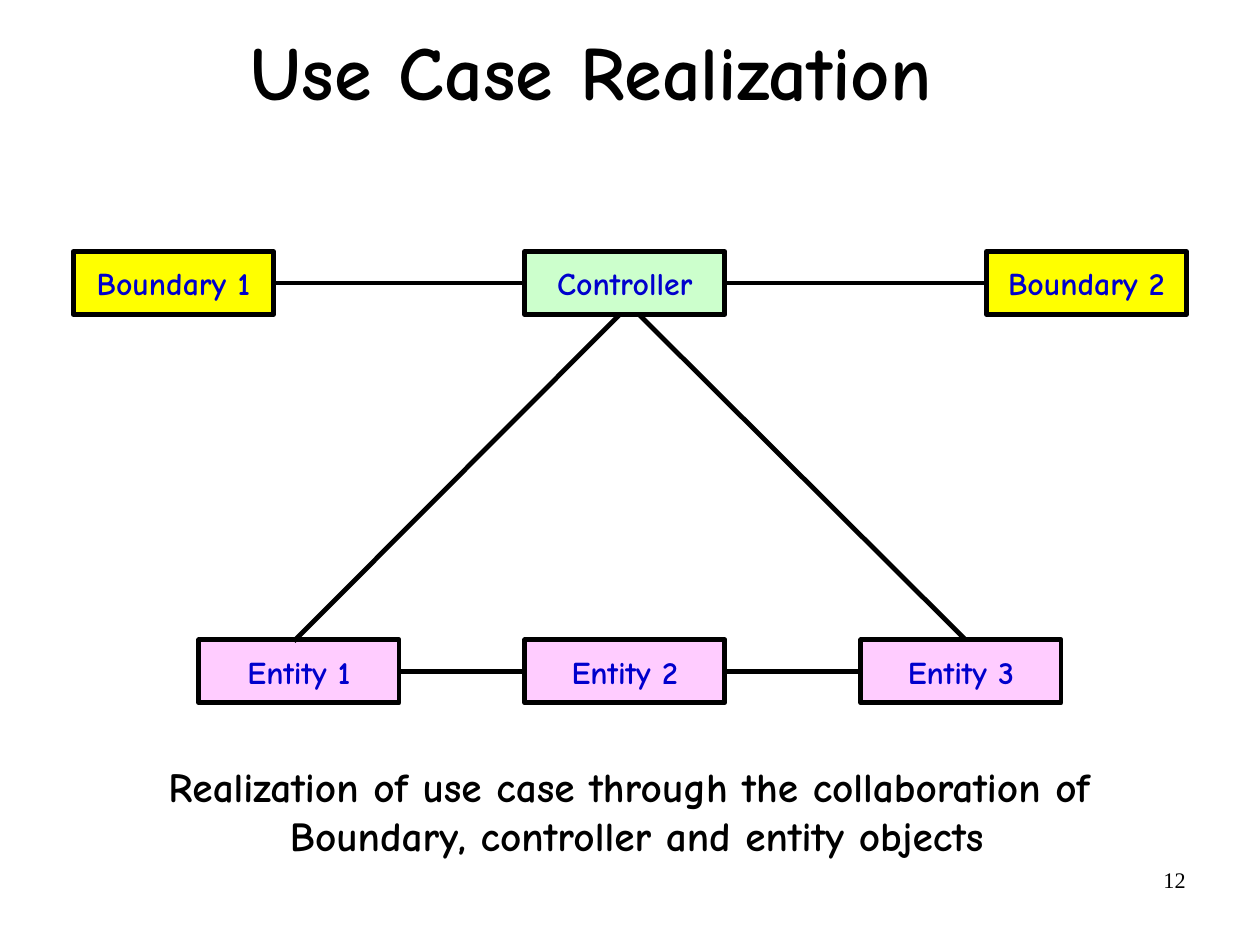
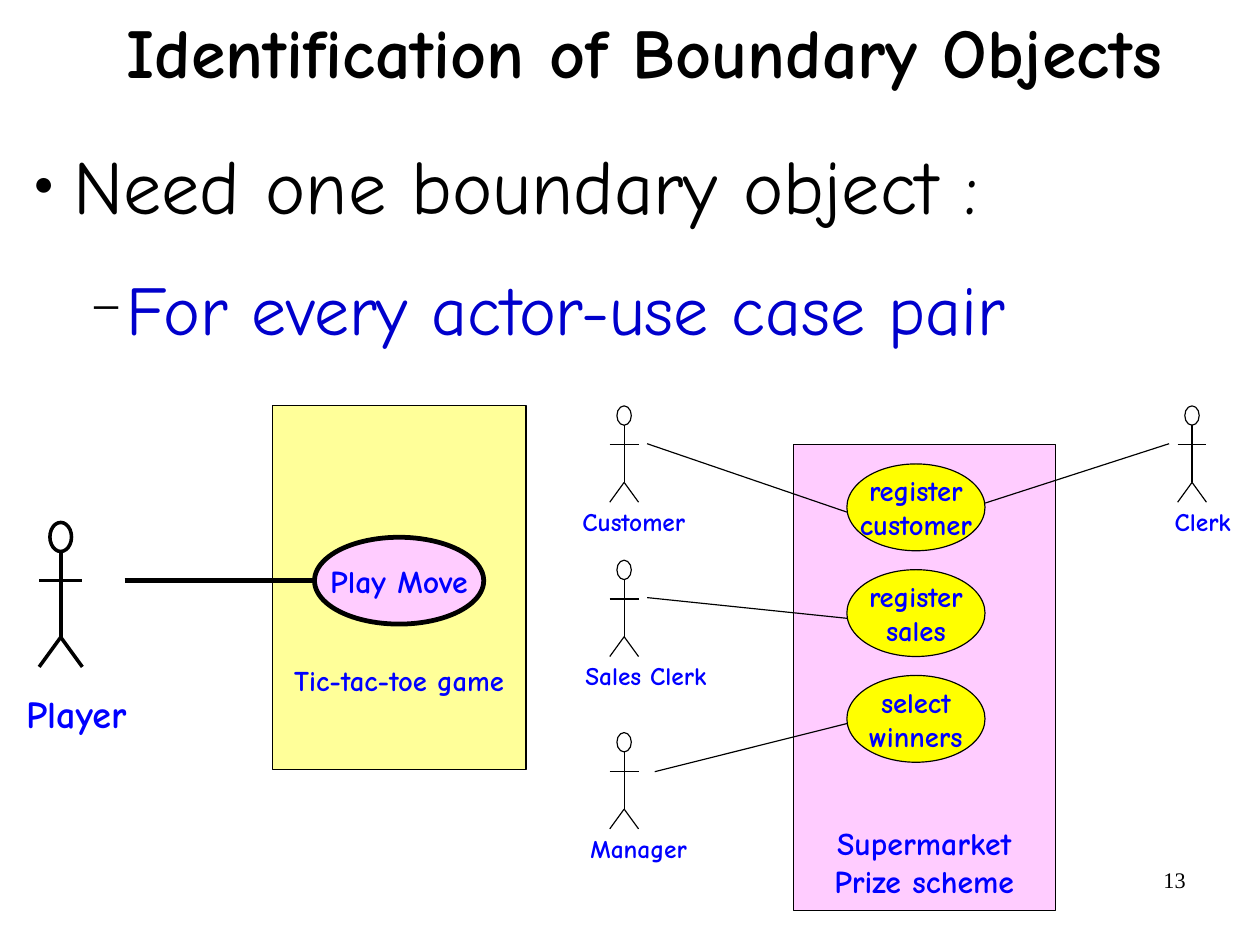
from dataclasses import dataclass

from lxml.etree import SubElement
from pptx import Presentation
from pptx.dml.color import RGBColor as Rgb
from pptx.enum.shapes import MSO_CONNECTOR as Link, MSO_SHAPE as Preset
from pptx.enum.text import MSO_ANCHOR as Anchor, MSO_AUTO_SIZE as Fit, PP_ALIGN as Align
from pptx.oxml.ns import qn
from pptx.util import Cm, Pt


@dataclass(frozen=True)
class Theme:
    font: str = "Comic Neue"
    number_font: str = "Times New Roman"
    black: str = "000000"
    navy: str = "0000CC"
    blue: str = "0000FF"
    yellow: str = "FFFF00"
    cream: str = "FFFF99"
    pink: str = "FFCCFF"
    mint: str = "CCFFCC"
    title_large: int = 48
    title: int = 44
    bullet: int = 48
    sub_bullet: int = 44
    caption: int = 26
    player: int = 24
    label: int = 20
    small_label: int = 18
    actor: int = 16
    number: int = 14
    thin: float = 0.75
    medium: float = 2.25
    thick: float = 3


theme = Theme()


def write(frame, lines, size, color=theme.black, bold=True, font=theme.font,
          align=Align.CENTER, anchor=Anchor.MIDDLE, wrap=False,
          side=0.28, top=0.15, bottom=0.15, spacing=1.0, before=0):
    frame.word_wrap = wrap
    frame.auto_size = Fit.NONE
    frame.vertical_anchor = anchor
    frame.margin_left = frame.margin_right = Cm(side)
    frame.margin_top, frame.margin_bottom = Cm(top), Cm(bottom)
    for index, line in enumerate(lines):
        para = frame.add_paragraph() if index else frame.paragraphs[0]
        para.alignment = align
        para.line_spacing = spacing
        para.space_before = Pt(before)
        span = para.add_run()
        span.text = line
        span.font.name = font
        span.font.size = Pt(size)
        span.font.bold = bold
        span.font.color.rgb = Rgb.from_string(color)


def draw_line(page, start, end, width):
    line = page.shapes.add_connector(Link.STRAIGHT, *map(Cm, start + end))
    line.line.color.rgb = Rgb.from_string(theme.black)
    line.line.width = Pt(width)
    SubElement(line._element.spPr, qn("a:effectLst"))
    return line


deck = Presentation()
deck.slide_width, deck.slide_height = Cm(28), Cm(21)
realization = deck.slides.add_slide(deck.slide_layouts[5])
identification = deck.slides.add_slide(deck.slide_layouts[1])

titles = [
    (realization, "Use Case Realization", (1.24, -0.08, 23.8, 3.48),
     dict(size=theme.title_large, side=0.05, spacing=0.94, before=13.6)),
    (identification, "Identification of Boundary Objects", (0.66, -0.3, 27.33, 3.1),
     dict(size=theme.title, side=0, top=0, bottom=0, spacing=0.88)),
]
for number, (page, text, place, style) in enumerate(titles, 12):
    title = page.shapes.title
    title.left, title.top, title.width, title.height = map(Cm, place)
    write(title.text_frame, [text], wrap=True, **style)
    box = page.shapes.add_textbox(Cm(20.07), Cm(19.13), Cm(6.53), Cm(1.45))
    write(box.text_frame, [str(number)], theme.number, bold=False, font=theme.number_font,
          align=Align.RIGHT, anchor=Anchor.TOP, wrap=True, side=0.25, top=0.13)

boxes = {}
for name, left, top, fill in [
    ("Boundary 1", 1.63, 5.59, theme.yellow),
    ("Controller", 11.66, 5.59, theme.mint),
    ("Boundary 2", 21.92, 5.59, theme.yellow),
    ("Entity 1", 4.42, 14.22, theme.pink),
    ("Entity 2", 11.66, 14.22, theme.pink),
    ("Entity 3", 19.13, 14.22, theme.pink),
]:
    box = realization.shapes.add_shape(Preset.RECTANGLE, Cm(left), Cm(top), Cm(4.45), Cm(1.4))
    box.shadow.inherit = False
    box.fill.solid()
    box.fill.fore_color.rgb = Rgb.from_string(fill)
    box.line.color.rgb = Rgb.from_string(theme.black)
    box.line.width = Pt(theme.thick)
    write(box.text_frame, [name], theme.label, theme.navy)
    boxes[name] = box

for first, second in [("Boundary 1", "Controller"), ("Controller", "Boundary 2"),
                      ("Entity 1", "Entity 2"), ("Entity 2", "Entity 3")]:
    line = draw_line(realization, (0, 0), (1, 1), theme.thick)
    line.begin_connect(boxes[first], 3)
    line.end_connect(boxes[second], 1)

draw_line(realization, (6.53, 14.25), (13.77, 6.99), theme.thick)
draw_line(realization, (14.22, 7.01), (21.46, 14.22), theme.thick)

caption = realization.shapes.add_textbox(Cm(3.43), Cm(16.76), Cm(21.46), Cm(2.49))
write(caption.text_frame, ["Realization of use case through the collaboration of ",
                           "Boundary, controller and entity objects"],
      theme.caption, anchor=Anchor.TOP)

body = identification.placeholders[1]
body.left, body.top, body.width, body.height = map(Cm, (0.46, 2.67, 26.87, 15.88))
write(body.text_frame, ["Need one boundary object :", "For every actor-use case pair"],
      theme.bullet, bold=False, align=Align.LEFT, anchor=Anchor.TOP, wrap=True,
      side=0, top=0, bottom=0, spacing=1.2, before=6)
bullets = [("●", 45, 1.17, -0.89, theme.bullet, theme.black),
           ("−", 75, 2.36, -0.79, theme.sub_bullet, theme.navy)]
for level, (para, bullet) in enumerate(zip(body.text_frame.paragraphs, bullets)):
    symbol, percent, margin, indent, size, color = bullet
    para.level = level
    para.space_after = Pt(6)
    para.runs[0].font.size = Pt(size)
    para.runs[0].font.color.rgb = Rgb.from_string(color)
    properties = para._p.get_or_add_pPr()
    properties.set("marL", str(Cm(margin)))
    properties.set("indent", str(Cm(indent)))
    bullet_color = SubElement(properties, qn("a:buClr"))
    SubElement(bullet_color, qn("a:srgbClr"), val=theme.black)
    SubElement(properties, qn("a:buSzPct"), val=str(percent * 1000))
    SubElement(properties, qn("a:buFont"), typeface=theme.number_font)
    SubElement(properties, qn("a:buChar"), char=symbol)

low = dict(color=theme.blue, anchor=Anchor.BOTTOM)
middle = dict(color=theme.blue)
use_cases = [
    (Preset.RECTANGLE, (6.05, 9.02, 5.64, 8.08), theme.cream, theme.thin,
     ["Tic-tac-toe game"], dict(size=theme.small_label, bottom=1.6, **low)),
    (Preset.OVAL, (6.99, 11.94, 3.76, 1.93), theme.pink, theme.thick,
     ["Play Move"], dict(size=theme.label, **middle)),
    (Preset.RECTANGLE, (17.63, 9.88, 5.82, 10.36), theme.pink, theme.thin,
     ["Supermarket", "Prize scheme"], dict(size=theme.label, bottom=0.25, **low)),
]
for row, lines in enumerate([["register", "customer"], ["register", "sales"],
                             ["select", "winners"]]):
    use_cases.append((Preset.OVAL, (18.82, 10.31 + 2.35 * row, 3.07, 1.93), theme.yellow,
                      theme.thin, lines, dict(size=theme.small_label, **middle)))
for preset, place, fill, width, lines, style in use_cases:
    box = identification.shapes.add_shape(preset, *map(Cm, place))
    box.shadow.inherit = False
    box.fill.solid()
    box.fill.fore_color.rgb = Rgb.from_string(fill)
    box.line.color.rgb = Rgb.from_string(theme.black)
    box.line.width = Pt(width)
    write(box.text_frame, lines, **style)

actors = [
    ("Player", 1.35, 11.61, 1.5, theme.medium, theme.player, (0.3, 15.19, 2.79, 1.3)),
    ("Customer", 13.87, 9.02, 1, theme.thin, theme.actor, (12.65, 11.1, 2.87, 0.97)),
    ("Sales Clerk", 13.87, 12.45, 1, theme.thin, theme.actor, (12.73, 14.53, 3.25, 0.97)),
    ("Manager", 13.87, 16.28, 1, theme.thin, theme.actor, (12.85, 18.36, 2.69, 0.97)),
    ("Clerk", 26.49, 9.02, 1, theme.thin, theme.actor, (25.83, 11.1, 1.8, 0.97)),
]
limbs = [((0, 0.43), (0, 1.7)), ((-0.32, 0.86), (0.32, 0.86)),
         ((-0.32, 2.14), (0, 1.7)), ((0, 1.7), (0.32, 2.14))]
for name, center, top, scale, width, size, place in actors:
    head = identification.shapes.add_shape(
        Preset.OVAL, Cm(center - 0.16 * scale), Cm(top), Cm(0.32 * scale), Cm(0.43 * scale))
    head.shadow.inherit = False
    head.fill.background()
    head.line.color.rgb = Rgb.from_string(theme.black)
    head.line.width = Pt(width)
    for limb in limbs:
        start, end = [(center + x * scale, top + y * scale) for x, y in limb]
        draw_line(identification, start, end, width)
    label = identification.shapes.add_textbox(*map(Cm, place))
    write(label.text_frame, [name], size, theme.blue, anchor=Anchor.TOP)

for start, end, width in [
    ((2.77, 12.9), (6.99, 12.9), theme.thick),
    ((14.38, 9.86), (18.82, 11.38), theme.thin),
    ((14.38, 13.28), (18.82, 13.74), theme.thin),
    ((14.55, 17.15), (18.82, 16.08), theme.thin),
    ((25.98, 9.86), (21.89, 11.18), theme.thin),
]:
    draw_line(identification, start, end, width)

deck.save("out.pptx")
